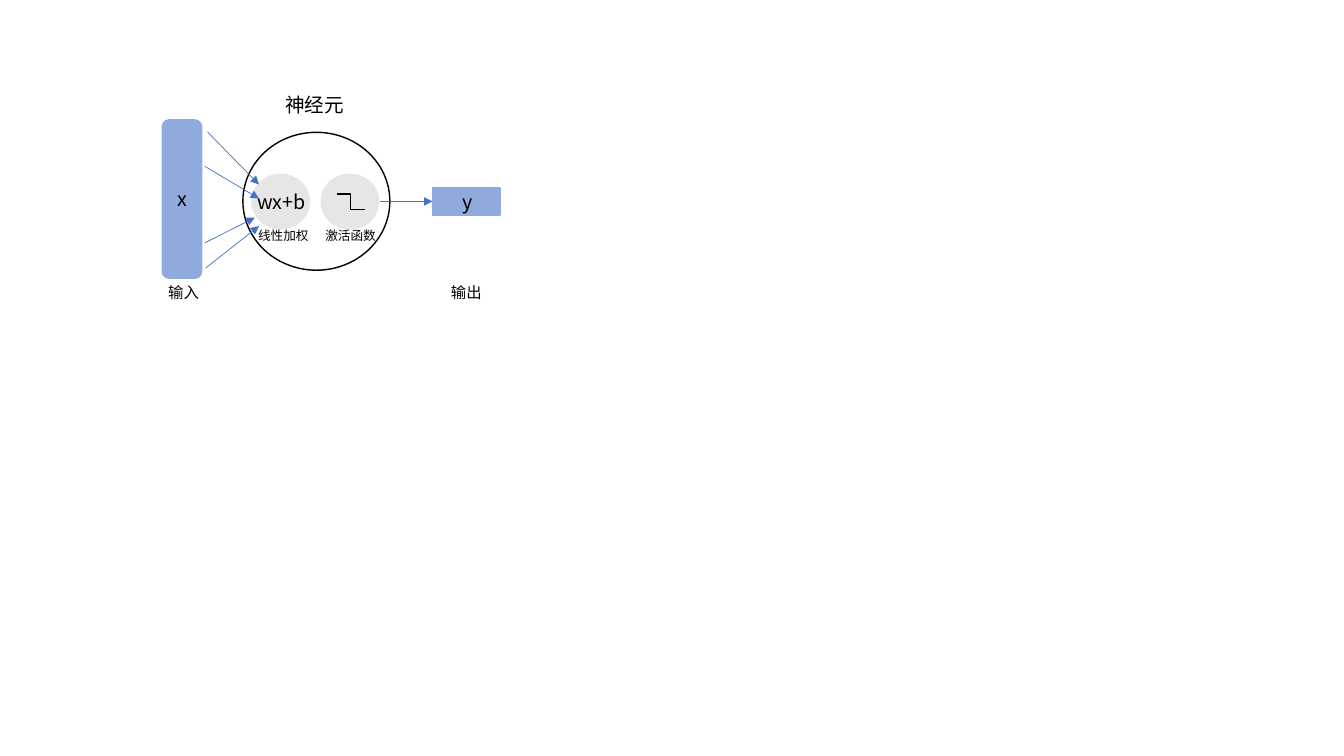
from dataclasses import dataclass

from lxml import etree
from pptx import Presentation
from pptx import util as u
from pptx.dml.color import RGBColor
from pptx.enum import shapes, text
from pptx.oxml.ns import qn


@dataclass(frozen=True)
class Theme:
    font: str = "Noto Sans CJK SC"
    ink: str = "000000"
    paper: str = "FFFFFF"
    stage: str = "E7E6E6"
    data: str = "8FAADC"
    arrow: str = "4472C4"
    symbol_size: float = 14
    label_size: float = 11
    caption_size: float = 9
    outline: float = 1
    arrow_width: float = 0.5


class Diagram:
    label_width = 65.5

    def __init__(self, slide, theme):
        self.shapes = slide.shapes
        self.theme = theme

    def block(self, kind, left, top, width, height, fill, line):
        block = self.shapes.add_shape(kind, *map(u.Pt, (left, top, width, height)))
        block.shadow.inherit = False
        block.fill.solid()
        block.fill.fore_color.rgb = RGBColor.from_string(fill)
        block.line.color.rgb = RGBColor.from_string(line)
        block.line.width = u.Pt(self.theme.outline)
        return block

    def label(self, words, left, top, height, size):
        box = self.shapes.add_textbox(*map(u.Pt, (left, top, self.label_width, height)))
        frame = box.text_frame
        frame.word_wrap = True
        frame.auto_size = text.MSO_AUTO_SIZE.SHAPE_TO_FIT_TEXT
        run = frame.paragraphs[0].add_run()
        run.text = words
        run.font.size = u.Pt(size)
        run.font.color.rgb = RGBColor.from_string(self.theme.ink)
        run.font.name = self.theme.font
        east_asian = etree.SubElement(run.font._element, qn("a:ea"))
        east_asian.set("typeface", self.theme.font)

    def connector(self, kind, start, end, color, width):
        link = self.shapes.add_connector(kind, *map(u.Pt, (*start, *end)))
        link.line.color.rgb = RGBColor.from_string(color)
        link.line.width = u.Pt(width)
        etree.SubElement(link._element.spPr, qn("a:effectLst"))
        return link

    def arrow(self, start, end):
        link = self.connector(shapes.MSO_CONNECTOR.STRAIGHT, start, end,
                              self.theme.arrow, self.theme.arrow_width)
        head = etree.SubElement(link.line._get_or_add_ln(), qn("a:tailEnd"))
        head.set("type", "triangle")
        return link

    def step(self, start, end):
        self.connector(shapes.MSO_CONNECTOR.ELBOW, start, end,
                       self.theme.ink, self.theme.outline)


def main():
    deck = Presentation()
    deck.slide_width, deck.slide_height = u.Pt(960), u.Pt(540)
    theme = Theme()
    diagram = Diagram(deck.slides.add_slide(deck.slide_layouts[6]), theme)
    kinds = shapes.MSO_SHAPE

    # Neuron with its two stages
    diagram.block(kinds.OVAL, 173.5, 94.5, 105, 98.5, theme.paper, theme.ink)
    for stage_left in (180, 229.5):
        diagram.block(kinds.OVAL, stage_left, 124.5, 41, 39, theme.stage, theme.stage)
    diagram.label("wx+b", 176.5, 131.8, 24.5, theme.symbol_size)

    # Input and output
    diagram.block(kinds.ROUNDED_RECTANGLE, 116, 85.7, 28, 113, theme.data, theme.data)
    diagram.label("x", 119.5, 129.8, 24.5, theme.symbol_size)
    output = diagram.block(kinds.RECTANGLE, 309, 134.2, 48.2, 19.4, theme.data, theme.data)
    diagram.label("y", 323.5, 131.8, 24.5, theme.symbol_size)

    # Captions
    for words, left in (("输入", 113), ("输出", 315)):
        diagram.label(words, left, 199, 20.6, theme.label_size)
    for words, left in (("线性加权", 177.3), ("激活函数", 225.3)):
        diagram.label(words, left, 159.3, 18.2, theme.caption_size)

    # Step function
    diagram.step((240.5, 138.5), (260.5, 149.5))

    # Flow from the input through the neuron to the output
    for start, end in (
        ((148.3, 94.3), (185, 131.8)),
        ((146.9, 191.5), (185, 161.5)),
        ((146.3, 118.8), (185, 141.8)),
        ((146.3, 173.5), (182, 155.5)),
    ):
        diagram.arrow(start, end)
    diagram.arrow((271.3, 143.9), (309, 143.9)).end_connect(output, 1)

    # Title
    diagram.label("神经元", 196.7, 62.6, 24.5, theme.symbol_size)

    deck.save("out.pptx")


if __name__ == "__main__":
    main()
